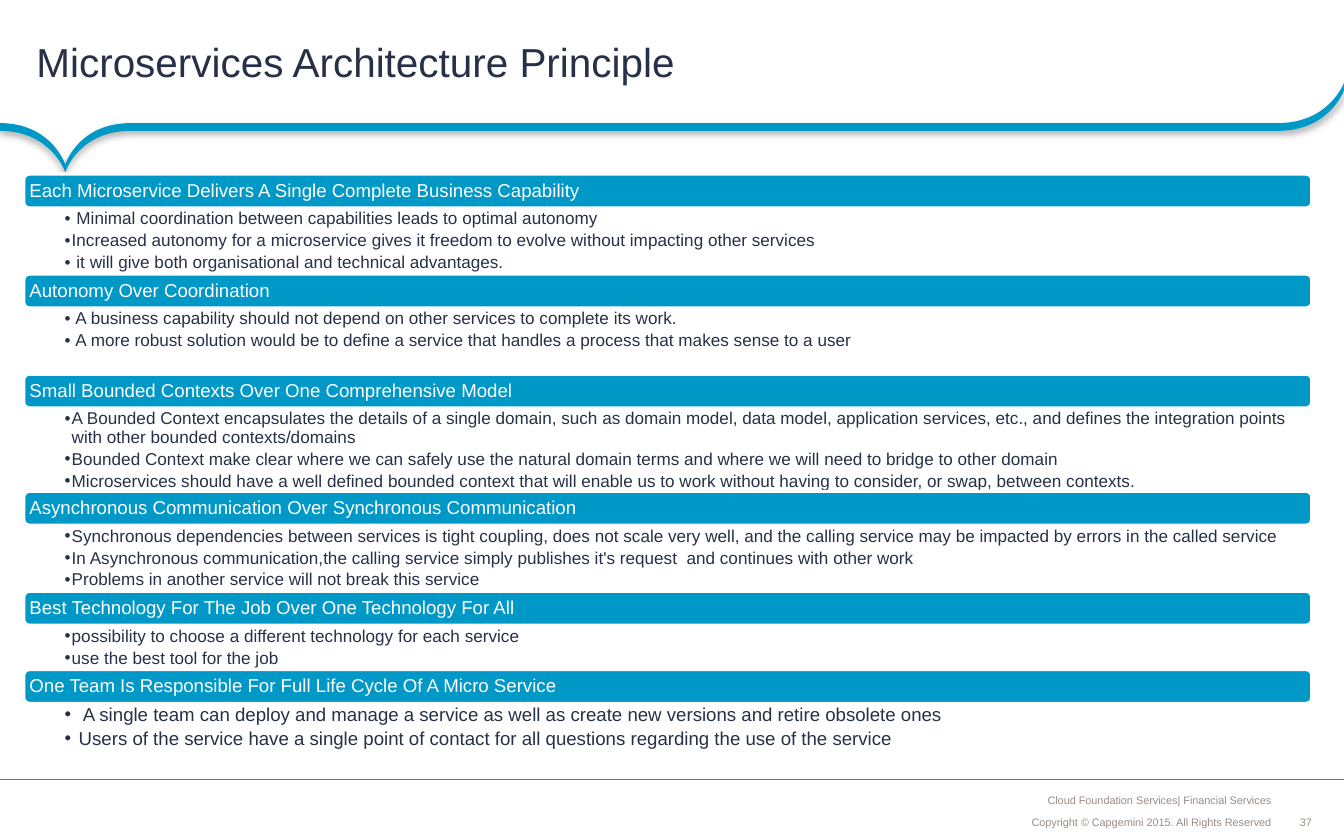
from dataclasses import dataclass

from lxml.etree import SubElement
from pptx import Presentation
from pptx.dml.color import RGBColor
from pptx.enum.shapes import MSO_CONNECTOR, MSO_SHAPE
from pptx.enum.text import MSO_ANCHOR, MSO_AUTO_SIZE, PP_ALIGN
from pptx.oxml.ns import qn
from pptx.slide import Slide
from pptx.text.text import TextFrame, _Paragraph
from pptx.util import Pt

BLUE = RGBColor(0x00, 0x98, 0xC7)
NAVY = RGBColor(0x26, 0x31, 0x47)
GREY = RGBColor(0x99, 0x8C, 0x85)
WHITE = RGBColor(0xFF, 0xFF, 0xFF)

FONT = "Arial"
WIDTH, HEIGHT = 864, 540
LEFT, TOP, ROW_W, BAR_H = 15.3, 112, 828, 21.7
BAND_H = 5

Point = tuple[float, float]


@dataclass
class Principle:
    heading: str
    points: list[str]
    height: float
    size: float = 11
    indent: float = 4.5


@dataclass
class FooterText:
    text: str
    box: tuple[float, float, float, float]
    align: PP_ALIGN
    anchor: MSO_ANCHOR
    inset: float = 2.9


PRINCIPLES = [
    Principle("Each Microservice Delivers A Single Complete Business Capability", [
        " Minimal coordination between capabilities leads to optimal autonomy",
        "Increased autonomy for a microservice gives it freedom to evolve without impacting other services",
        " it will give both organisational and technical advantages.",
    ], 42.6),
    Principle("Autonomy Over Coordination", [
        " A business capability should not depend on other services to complete its work.",
        " A more robust solution would be to define a service that handles a process that makes sense to a user",
    ], 42.6),
    Principle("Small Bounded Contexts Over One Comprehensive Model", [
        "A Bounded Context encapsulates the details of a single domain, such as domain model, data model, "
        "application services, etc., and defines the integration points with other bounded contexts/domains",
        "Bounded Context make clear where we can safely use the natural domain terms and where we will need "
        "to bridge to other domain",
        "Microservices should have a well defined bounded context that will enable us to work without having "
        "to consider, or swap, between contexts.",
    ], 53.6),
    Principle("Asynchronous Communication Over Synchronous Communication", [
        "Synchronous dependencies between services is tight coupling, does not scale very well, and the "
        "calling service may be impacted by errors in the called service",
        "In Asynchronous communication,the calling service simply publishes it's request  and continues with other work",
        "Problems in another service will not break this service",
    ], 42.6),
    Principle("Best Technology For The Job Over One Technology For All", [
        "possibility to choose a different technology for each service",
        "use the best tool for the job",
    ], 28.6),
    Principle("One Team Is Responsible For Full Life Cycle Of A Micro Service", [
        " A single team can deploy and manage a service as well as create new versions and retire obsolete ones",
        "Users of the service have a single point of contact for all questions regarding the use of the service",
    ], 30.2, 12, 9),
]

FOOTERS = [
    FooterText("Cloud Foundation Services| Financial Services", (268.6, 506.2, 551.5, 15.1),
               PP_ALIGN.RIGHT, MSO_ANCHOR.BOTTOM),
    FooterText("Copyright © Capgemini 2015. All Rights Reserved", (588.2, 521.3, 231.9, 14.4),
               PP_ALIGN.RIGHT, MSO_ANCHOR.BOTTOM),
    FooterText("37", (835.2, 524.4, 8.6, 8.6), PP_ALIGN.CENTER, MSO_ANCHOR.MIDDLE, 0),
]


def set_frame(tf: TextFrame, insets: tuple[float, float, float, float],
              anchor: MSO_ANCHOR, wrap: bool = True) -> None:
    tf.auto_size = MSO_AUTO_SIZE.NONE
    tf.word_wrap = wrap
    tf.vertical_anchor = anchor
    tf.margin_left, tf.margin_top, tf.margin_right, tf.margin_bottom = map(Pt, insets)


def add_run(p: _Paragraph, text: str, size: float, color: RGBColor) -> None:
    r = p.add_run()
    r.text = text
    r.font.name = FONT
    r.font.size = Pt(size)
    r.font.color.rgb = color


def set_bullet(p: _Paragraph, indent: float) -> None:
    pPr = p._p.get_or_add_pPr()
    pPr.set("marL", str(Pt(indent)))
    pPr.set("indent", str(-Pt(indent)))
    SubElement(pPr, qn("a:buFont"), typeface=FONT)
    SubElement(pPr, qn("a:buChar"), char="•")


def add_band(s: Slide) -> None:
    y, tip, corner = 79.2, (42, 105.8), (WIDTH, 53.3)
    edge = [(0, y), tip, (84, y), (821.5, y), corner]
    controls = [[(33.1, y), tip], [tip, (50.4, y)], [], [(854.6, y), corner]]

    def lower(points: list[Point]) -> list[Point]:
        return [(px, py + BAND_H) for px, py in reversed(points)]

    nodes = edge + lower(edge)
    segments = controls + [[]] + [lower(pair) for pair in reversed(controls)]
    fb = s.shapes.build_freeform(Pt(nodes[0][0]), Pt(nodes[0][1]))
    fb.add_line_segments([(Pt(px), Pt(py)) for px, py in nodes[1:]], close=True)
    sp = fb.convert_to_shape()
    for segment, pair in zip(list(sp._element.iter(qn("a:lnTo"))), segments):
        if pair:
            segment.tag = qn("a:cubicBezTo")
            for i, (px, py) in enumerate(pair):
                pt = SubElement(segment, qn("a:pt"), x=str(Pt(px)), y=str(Pt(py) - Pt(corner[1])))
                segment.insert(i, pt)
    sp.fill.solid()
    sp.fill.fore_color.rgb = BLUE
    sp.line.fill.background()
    sp.shadow.inherit = False
    effects = sp._element.spPr.find(qn("a:effectLst"))
    shadow = SubElement(effects, qn("a:outerShdw"), blurRad=str(Pt(4)), dist=str(Pt(2)),
                        dir="5400000", rotWithShape="0")
    color = SubElement(shadow, qn("a:srgbClr"), val="000000")
    SubElement(color, qn("a:alpha"), val="31000")


def add_footer(s: Slide, footer: FooterText) -> None:
    tf = s.shapes.add_textbox(*map(Pt, footer.box)).text_frame
    set_frame(tf, (footer.inset,) * 4, footer.anchor, wrap=False)
    p = tf.paragraphs[0]
    p.alignment = footer.align
    add_run(p, footer.text, 7, GREY)


def add_rule(s: Slide, y: float) -> None:
    line = s.shapes.add_connector(MSO_CONNECTOR.STRAIGHT, Pt(WIDTH), Pt(y), Pt(0), Pt(y))
    line.line.color.rgb = BLUE
    line.line.width = Pt(0.75)
    SubElement(line._element.spPr, qn("a:effectLst"))


def add_principle(s: Slide, item: Principle, top: float) -> None:
    sp = s.shapes.add_shape(MSO_SHAPE.ROUNDED_RECTANGLE, Pt(LEFT), Pt(top), Pt(ROW_W), Pt(BAR_H))
    sp.shadow.inherit = False
    sp.fill.solid()
    sp.fill.fore_color.rgb = BLUE
    sp.line.color.rgb = WHITE
    sp.line.width = Pt(2)
    set_frame(sp.text_frame, (2.6, 2.6, 2.6, 2.6), MSO_ANCHOR.MIDDLE)
    p = sp.text_frame.paragraphs[0]
    p.alignment = PP_ALIGN.LEFT
    p.line_spacing = 0.9
    add_run(p, item.heading, 12, WHITE)

    tf = s.shapes.add_textbox(Pt(LEFT), Pt(top + BAR_H), Pt(ROW_W), Pt(item.height)).text_frame
    set_frame(tf, (26.3, 1.4, 7.5, 1.4), MSO_ANCHOR.TOP)
    for i, text in enumerate(item.points):
        p = tf.add_paragraph() if i else tf.paragraphs[0]
        p.level = 1
        p.line_spacing = 0.9
        p.space_after = Pt(item.size * 0.2)
        set_bullet(p, item.indent)
        add_run(p, text, item.size, NAVY)


def main() -> None:
    prs = Presentation()
    prs.slide_width, prs.slide_height = Pt(WIDTH), Pt(HEIGHT)
    s = prs.slides.add_slide(prs.slide_layouts[5])

    title = s.shapes.title
    title.left, title.top, title.width, title.height = Pt(0), Pt(0), Pt(WIDTH), Pt(79.2)
    set_frame(title.text_frame, (23.4, 2.9, 13, 2.9), MSO_ANCHOR.MIDDLE)
    p = title.text_frame.paragraphs[0]
    p.alignment = PP_ALIGN.LEFT
    add_run(p, "Microservices Architecture Principle", 26, NAVY)

    add_band(s)
    add_rule(s, 501.1)
    for footer in FOOTERS:
        add_footer(s, footer)

    top = TOP
    for item in PRINCIPLES:
        add_principle(s, item, top)
        top += BAR_H + item.height

    prs.save("out.pptx")


if __name__ == "__main__":
    main()
